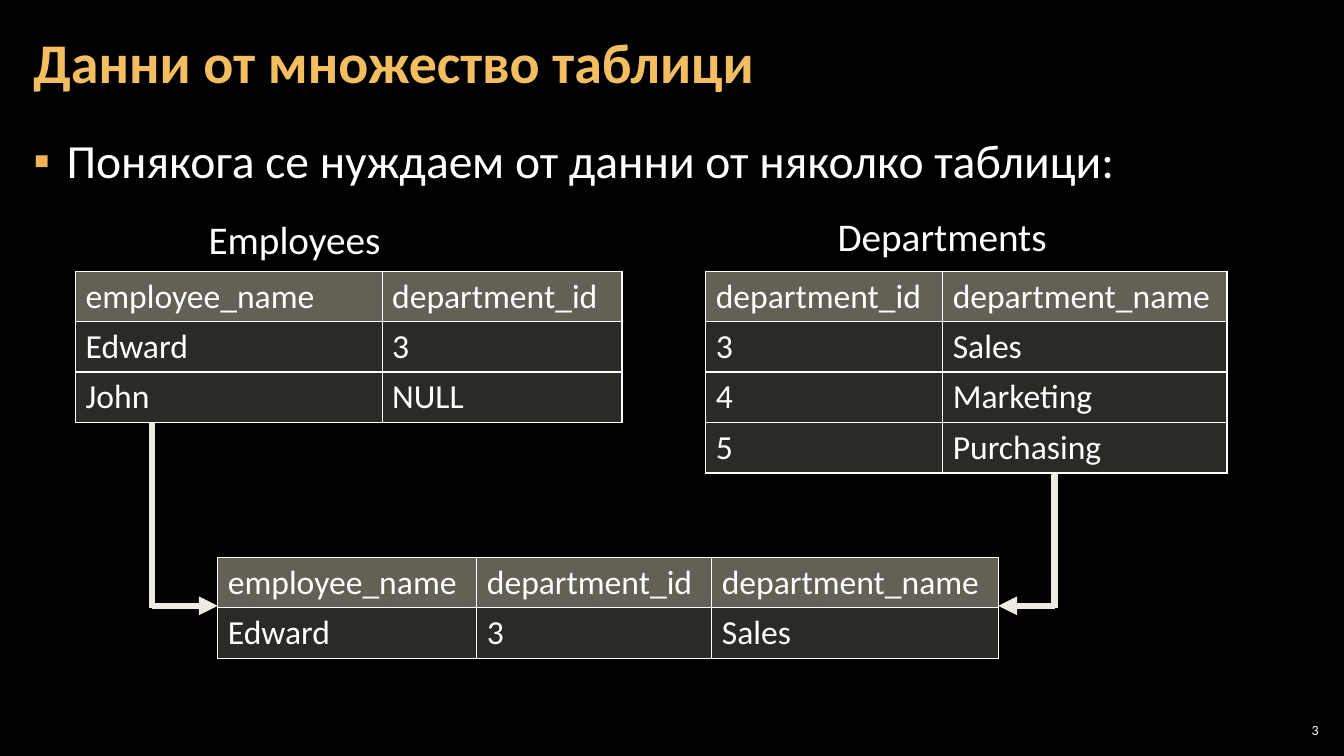
from dataclasses import dataclass

from lxml import etree
from pptx import Presentation
from pptx.dml.color import RGBColor
from pptx.enum import shapes, text
from pptx.oxml import ns
from pptx.util import Inches, Pt


@dataclass(frozen=True)
class Theme:
    font: str = "Calibri"
    back: str = "000000"
    ink: str = "FFFFFF"
    title: str = "F3BE60"
    bullet: str = "F2B254"
    arrow: str = "ECEAE3"
    head: tuple = ("C6C0AA", 50)  # colour, opacity in percent
    row: tuple = ("D9D5C7", 20)
    title_size: int = 40
    body_size: int = 34
    label_size: int = 28
    cell_size: int = 24
    number_size: int = 10
    row_height: float = 0.5


T = Theme()


def rgb(value):
    return RGBColor.from_string(value)


def add_xml(parent, tag, **attrs):
    return etree.SubElement(parent, ns.qn(tag), attrs)


def write(tf, words, size, color=T.ink, bold=False, align=None,
          anchor=text.MSO_ANCHOR.TOP, margins=(0.1, 0.05), wrap=True):
    """Fill a text frame with one formatted paragraph."""
    tf.word_wrap = wrap
    tf.vertical_anchor = anchor
    tf.margin_left = tf.margin_right = Inches(margins[0])
    tf.margin_top = tf.margin_bottom = Inches(margins[1])
    p = tf.paragraphs[0]
    p.alignment = align
    r = p.add_run()
    r.text = words
    r.font.name, r.font.size, r.font.bold = T.font, Pt(size), bold
    r.font.color.rgb = rgb(color)
    return p


def place(sp, box):
    sp.left, sp.top, sp.width, sp.height = map(Inches, box)
    return sp


def add_title(slide, box, words):
    sp = place(slide.shapes.title, box)
    p = write(sp.text_frame, words, T.title_size, T.title, bold=True,
              align=text.PP_ALIGN.LEFT, anchor=text.MSO_ANCHOR.MIDDLE,
              margins=(0.12, 0.04))
    p.line_spacing = 0.9


def add_body(slide, box, words):
    sp = place(slide.placeholders[1], box)
    p = write(sp.text_frame, words, T.body_size, margins=(0.12, 0.04))
    p.space_before = p.space_after = Pt(6)
    pPr = p._p.get_or_add_pPr()
    pPr.set("marL", str(Inches(0.33)))
    pPr.set("indent", str(Inches(-0.33)))
    add_xml(add_xml(pPr, "a:buClr"), "a:srgbClr", val=T.bullet)
    add_xml(pPr, "a:buChar", char="▪")


def add_text(slide, box, words, size, **style):
    sp = slide.shapes.add_textbox(*map(Inches, box))
    write(sp.text_frame, words, size, **style)


def style_cell(cell, fill):
    """Give a cell a translucent fill and thin borders."""
    color, opacity = fill
    cell.fill.solid()
    cell.fill.fore_color.rgb = rgb(color)
    tcPr = cell._tc.get_or_add_tcPr()
    add_xml(tcPr.find(".//" + ns.qn("a:srgbClr")), "a:alpha",
            val=str(opacity * 1000))
    for i, side in enumerate("LRTB"):
        ln = add_xml(tcPr, f"a:ln{side}", w=str(Pt(1)))
        add_xml(add_xml(ln, "a:solidFill"), "a:srgbClr", val=T.ink)
        tcPr.insert(i, ln)


def add_grid(slide, left, top, widths, rows):
    size = (sum(widths), T.row_height * len(rows))
    table = slide.shapes.add_table(
        len(rows), len(widths), *map(Inches, (left, top, *size))).table
    table.first_row = table.horz_banding = False
    for column, width in zip(table.columns, widths):
        column.width = Inches(width)
    for i, values in enumerate(rows):
        table.rows[i].height = Inches(T.row_height)
        for j, value in enumerate(values):
            cell = table.cell(i, j)
            write(cell.text_frame, value, T.cell_size)
            style_cell(cell, T.row if i else T.head)


def add_line(slide, start, end, arrow=False):
    line = slide.shapes.add_connector(
        shapes.MSO_CONNECTOR.STRAIGHT, *map(Inches, (*start, *end)))
    line.line.color.rgb = rgb(T.arrow)
    line.line.width = Pt(4.5)
    if arrow:
        add_xml(line.line._get_or_add_ln(), "a:tailEnd", type="triangle")
    add_xml(line._element.spPr, "a:effectLst")


def add_elbow(slide, start, end):
    """Go down from the start, then sideways to the arrowhead."""
    corner = (start[0], end[1])
    add_line(slide, start, (corner[0], corner[1] + 0.02))
    add_line(slide, corner, end, arrow=True)


def add_join_diagram(slide, left, top):
    """Draw two source tables and the joined result below them."""
    result_left, result_top = left + 1.41, top + 2.84
    result_widths = (2.57, 2.33, 2.84)
    arrow_y = result_top + 0.48

    # Arrows from the sources to the result
    add_elbow(slide, (left + 0.76, top + 3 * T.row_height),
              (result_left, arrow_y))
    add_elbow(slide, (left + 9.71, top + 4 * T.row_height),
              (result_left + sum(result_widths), arrow_y))

    # Source tables
    add_text(slide, (left + 1.22, top - 0.6, 1.92, 0.57), "Employees",
             T.label_size, wrap=False)
    add_grid(slide, left, top, (3.04, 2.38),
             [("employee_name", "department_id"),
              ("Edward", "3"), ("John", "NULL")])
    add_text(slide, (left + 7.46, top - 0.63, 2.3, 0.57), "Departments",
             T.label_size, wrap=False)
    add_grid(slide, left + 6.25, top, (2.35, 2.82),
             [("department_id", "department_name"),
              ("3", "Sales"), ("4", "Marketing"), ("5", "Purchasing")])

    # Joined result
    add_grid(slide, result_left, result_top, result_widths,
             [("employee_name", "department_id", "department_name"),
              ("Edward", "3", "Sales")])


def build_slide(prs):
    slide = prs.slides.add_slide(prs.slide_layouts[1])
    slide.background.fill.solid()
    slide.background.fill.fore_color.rgb = rgb(T.back)
    add_title(slide, (0.21, 0.04, 10.47, 1.21), "Данни от множество таблици")
    add_body(slide, (0.21, 1.26, 12.91, 6.09),
             "Понякога се нуждаем от данни от няколко таблици:")
    add_join_diagram(slide, 0.75, 2.69)
    add_text(slide, (12.65, 7.14, 0.47, 0.21), "3", T.number_size,
             align=text.PP_ALIGN.RIGHT, anchor=text.MSO_ANCHOR.MIDDLE,
             margins=(0.04, 0.04))


prs = Presentation()
prs.slide_width, prs.slide_height = Inches(13.33), Inches(7.5)
build_slide(prs)
prs.save("out.pptx")
